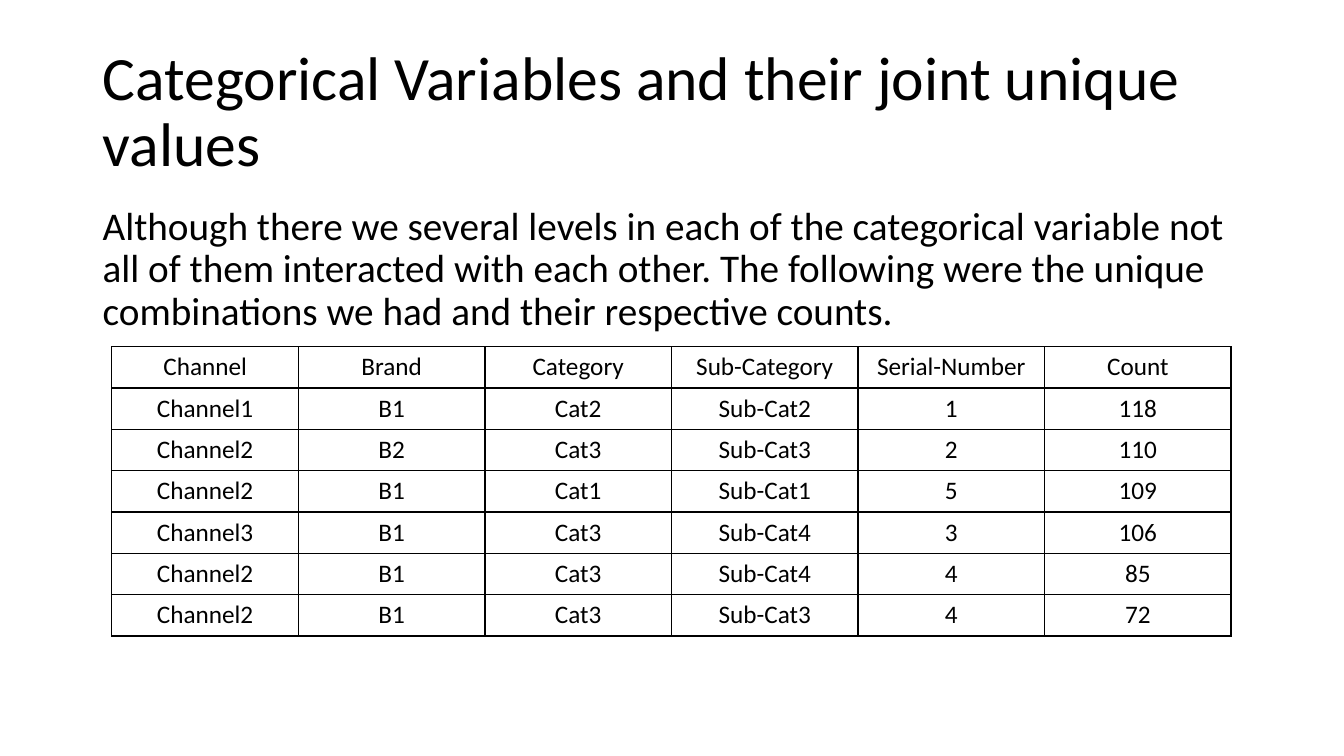
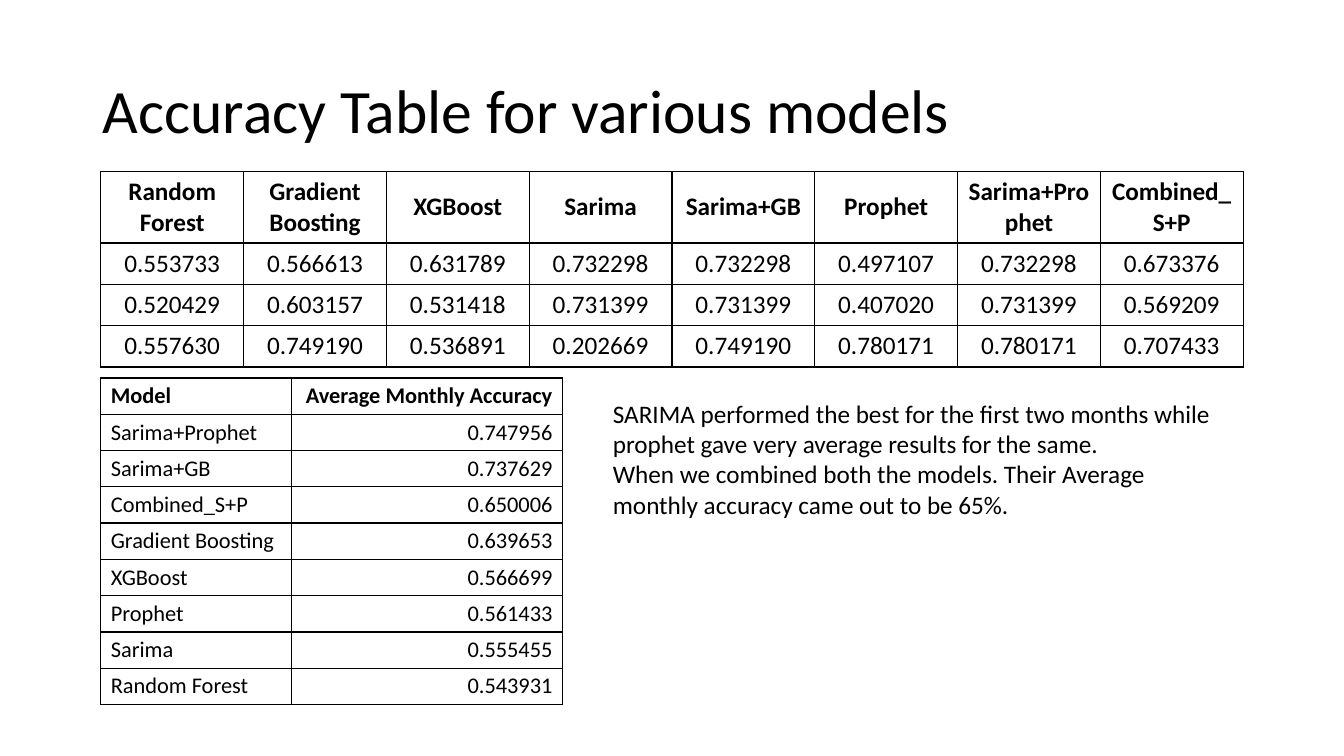
import pptx
import pptx.dml.color
import pptx.enum.text
import pptx.oxml
import pptx.oxml.ns
import pptx.util

Inches = pptx.util.Inches
Align = pptx.enum.text.PP_ALIGN
Anchor = pptx.enum.text.MSO_ANCHOR
AutoSize = pptx.enum.text.MSO_AUTO_SIZE
TITLE_ONLY = 5


def color(value):
    return pptx.dml.color.RGBColor.from_string(value)


class Deck:
    """Holds the shared style and the current slide."""

    font_name = "Calibri"
    ink = "000000"
    left, width = Inches(0.92), Inches(11.5)

    def __init__(self):
        self.presentation = pptx.Presentation()
        self.presentation.slide_width = Inches(13.33)
        self.presentation.slide_height = Inches(7.5)
        self.slide = None

    def style(self, paragraph, size, bold=False, align=Align.LEFT):
        paragraph.alignment = align
        paragraph.font.name = self.font_name
        paragraph.font.size = pptx.util.Pt(size)
        paragraph.font.bold = bold
        paragraph.font.color.rgb = color(self.ink)

    def add_slide(self, title):
        layout = self.presentation.slide_layouts[TITLE_ONLY]
        self.slide = self.presentation.slides.add_slide(layout)
        shape = self.slide.shapes.title
        shape.left, shape.top = self.left, Inches(0.4)
        shape.width, shape.height = self.width, Inches(1.45)
        frame = shape.text_frame
        frame.text = title
        frame.auto_size = AutoSize.NONE
        frame.vertical_anchor = Anchor.MIDDLE
        paragraph = frame.paragraphs[0]
        self.style(paragraph, 44)
        paragraph.line_spacing = 0.9

    def add_text(self, left, top, width, height, lines, size,
                 line_spacing=1.0, space_before=0, grow=False):
        shape = self.slide.shapes.add_textbox(left, top, width, height)
        frame = shape.text_frame
        frame.word_wrap = True
        frame.auto_size = AutoSize.SHAPE_TO_FIT_TEXT if grow else AutoSize.NONE
        frame.text = "\n".join(lines)
        for paragraph in frame.paragraphs:
            self.style(paragraph, size)
            paragraph.line_spacing = line_spacing
            paragraph.space_before = pptx.util.Pt(space_before)

    def add_borders(self, cell):
        properties = cell._tc.get_or_add_tcPr()
        for side in ("lnL", "lnR", "lnT", "lnB"):
            properties.append(pptx.oxml.parse_xml(
                f'<a:{side} {pptx.oxml.ns.nsdecls("a")} w="12700">'
                f'<a:solidFill><a:srgbClr val="{self.ink}"/></a:solidFill>'
                f'</a:{side}>'))

    def add_table(self, left, top, column_widths, row_heights, rows, size,
                  aligns, bold_header=False, anchor=Anchor.MIDDLE,
                  margin_y=Inches(0.05)):
        table = self.slide.shapes.add_table(
            len(rows), len(column_widths), left, top,
            sum(column_widths), sum(row_heights)).table
        table.first_row = table.horz_banding = False
        for column, width in zip(table.columns, column_widths):
            column.width = width
        for row, height in zip(table.rows, row_heights):
            row.height = height
        for row_index, values in enumerate(rows):
            for column_index, value in enumerate(values):
                cell = table.cell(row_index, column_index)
                cell.text = value
                cell.vertical_anchor = anchor
                cell.margin_top = cell.margin_bottom = margin_y
                self.style(cell.text_frame.paragraphs[0], size,
                           bold_header and row_index == 0, aligns[column_index])
                self.add_borders(cell)
                cell.fill.background()


COMBINATIONS = [
    ("Channel", "Brand", "Category", "Sub-Category", "Serial-Number", "Count"),
    ("Channel1", "B1", "Cat2", "Sub-Cat2", "1", "118"),
    ("Channel2", "B2", "Cat3", "Sub-Cat3", "2", "110"),
    ("Channel2", "B1", "Cat1", "Sub-Cat1", "5", "109"),
    ("Channel3", "B1", "Cat3", "Sub-Cat4", "3", "106"),
    ("Channel2", "B1", "Cat3", "Sub-Cat4", "4", "85"),
    ("Channel2", "B1", "Cat3", "Sub-Cat3", "4", "72"),
]

MONTHLY_ACCURACY = [
    ("Random Forest", "Gradient Boosting", "XGBoost", "Sarima",
     "Sarima+GB", "Prophet", "Sarima+Prophet", "Combined_S+P"),
    ("0.553733", "0.566613", "0.631789", "0.732298",
     "0.732298", "0.497107", "0.732298", "0.673376"),
    ("0.520429", "0.603157", "0.531418", "0.731399",
     "0.731399", "0.407020", "0.731399", "0.569209"),
    ("0.557630", "0.749190", "0.536891", "0.202669",
     "0.749190", "0.780171", "0.780171", "0.707433"),
]

AVERAGE_ACCURACY = [
    ("Model", "Average Monthly Accuracy"),
    ("Sarima+Prophet", "0.747956"),
    ("Sarima+GB", "0.737629"),
    ("Combined_S+P", "0.650006"),
    ("Gradient Boosting", "0.639653"),
    ("XGBoost", "0.566699"),
    ("Prophet", "0.561433"),
    ("Sarima", "0.555455"),
    ("Random Forest", "0.543931"),
]


def main():
    deck = Deck()

    # Joint unique values
    deck.add_slide("Categorical Variables and their joint unique values")
    deck.add_text(
        deck.left, Inches(2), deck.width, Inches(4.76),
        ["Although there we several levels in each of the categorical variable "
         "not all of them interacted with each other. The following were the "
         "unique combinations we had and their respective counts."],
        28, line_spacing=0.9, space_before=10)
    deck.add_table(
        Inches(1.11), Inches(3.44), [Inches(1.85)] * 6,
        [Inches(0.41)] * len(COMBINATIONS), COMBINATIONS, 18,
        [Align.CENTER] * 6, anchor=Anchor.TOP)

    # Accuracy by month
    deck.add_slide("Accuracy Table for various models")
    deck.add_table(
        Inches(1), Inches(1.7), [Inches(11.33 / 8)] * 8,
        [Inches(0.7)] + [Inches(0.41)] * 3, MONTHLY_ACCURACY, 18,
        [Align.CENTER] * 8, bold_header=True)

    # Findings and average accuracy
    deck.add_text(
        Inches(5.98), Inches(3.9), Inches(6.35), Inches(1.31),
        ["SARIMA performed the best for the first two months while prophet "
         "gave very average results for the same.",
         "When we combined both the models. Their Average monthly accuracy "
         "came out to be 65%."],
        18, grow=True)
    deck.add_table(
        Inches(1), Inches(3.75), [Inches(1.89), Inches(2.69)],
        [Inches(0.36)] * len(AVERAGE_ACCURACY), AVERAGE_ACCURACY, 16,
        [Align.LEFT, Align.RIGHT], bold_header=True, margin_y=Inches(0.04))

    deck.presentation.save("out.pptx")


if __name__ == "__main__":
    main()
